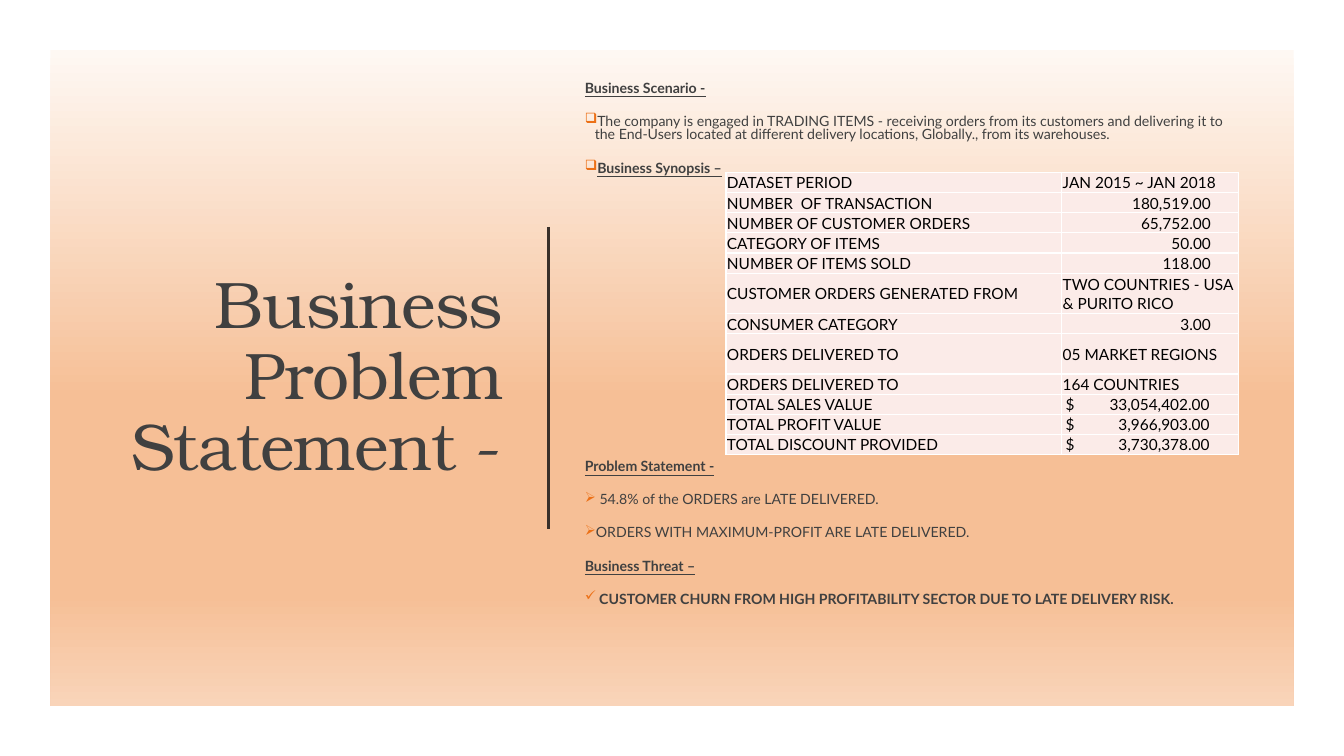
from lxml import etree
from pptx import Presentation
from pptx import util as u
from pptx.dml.color import RGBColor
from pptx.enum import shapes, text
from pptx.oxml.ns import qn

COLORS = {
    "white": "FFFFFF",
    "text": "404040",
    "rule": "39302A",
    "bullet": "EC7016",
    "cell": "FBEBE8",
    "cell_text": "000000",
}
GRADIENT = [(0, "FEF8F3"), (53, "F6BF96"), (83, "F6BF96"), (100, "F9D4B9")]
BODY_FONT, TITLE_FONT = "Lato", "TeX Gyre Bonum"
BODY_SIZE = 10.1
TABLE_GAP = 201.5  # points kept free for the table

# text, bullet, heading style (bold, underlined), space before
BODY = [
    ("Business Scenario -", None, True, True, 12),
    ("The company is engaged in TRADING ITEMS - receiving orders from its "
     "customers and delivering it to the End-Users located at different "
     "delivery locations, Globally., from its warehouses.", "❑", False, False, 12),
    ("Business Synopsis –", "❑", True, True, 12),
    ("Problem Statement -", None, True, True, TABLE_GAP),
    (" 54.8% of the ORDERS are LATE DELIVERED.", "➢", False, False, 12),
    ("ORDERS WITH MAXIMUM-PROFIT ARE LATE DELIVERED.", "➢", False, False, 12),
    ("Business Threat –", None, True, True, 12),
    (" CUSTOMER CHURN FROM HIGH PROFITABILITY SECTOR DUE TO LATE DELIVERY RISK.",
     "✓", True, False, 12),
]

# label, value, kind of value, row height
SYNOPSIS = [
    ("DATASET PERIOD", "JAN 2015 ~ JAN 2018", "text", 0.2),
    ("NUMBER  OF TRANSACTION", "180,519.00", "number", 0.2),
    ("NUMBER OF CUSTOMER ORDERS", "65,752.00", "number", 0.2),
    ("CATEGORY OF ITEMS", "50.00", "number", 0.2),
    ("NUMBER OF ITEMS SOLD", "118.00", "number", 0.2),
    ("CUSTOMER ORDERS GENERATED FROM", "TWO COUNTRIES - USA & PURITO RICO", "text", 0.4),
    ("CONSUMER CATEGORY", "3.00", "number", 0.2),
    ("ORDERS DELIVERED TO", "05 MARKET REGIONS", "text", 0.4),
    ("ORDERS DELIVERED TO", "164 COUNTRIES", "text", 0.2),
    ("TOTAL SALES VALUE", "$\t33,054,402.00", "money", 0.2),
    ("TOTAL PROFIT VALUE", "$\t3,966,903.00", "money", 0.2),
    ("TOTAL DISCOUNT PROVIDED", "$\t3,730,378.00", "money", 0.2),
]


def rgb(name):
    return RGBColor.from_string(COLORS[name])


def add_xml(parent, tag, **attrs):
    return etree.SubElement(parent, qn(tag), attrs)


def set_font(font, name, size, color, bold=False, underline=False):
    font.name, font.size = name, u.Pt(size)
    font.bold, font.underline = bold, underline
    font.color.rgb = rgb(color)


def fill_gradient(fill, element):
    fill.gradient()
    fill.gradient_angle = 270
    stops = next(element.iter(qn("a:gsLst")))
    for stop in list(stops):
        stops.remove(stop)
    for percent, color in GRADIENT:
        stop = add_xml(stops, "a:gs", pos=str(percent * 1000))
        add_xml(stop, "a:srgbClr", val=color)


def add_panel(s, left, top, width, height):
    sp = s.shapes.add_shape(shapes.MSO_SHAPE.RECTANGLE, u.Inches(left),
                            u.Inches(top), u.Inches(width), u.Inches(height))
    sp.shadow.inherit = False
    sp.line.fill.background()
    return sp


def add_textbox(s, left, top, width, height):
    tf = s.shapes.add_textbox(u.Inches(left), u.Inches(top),
                              u.Inches(width), u.Inches(height)).text_frame
    tf.word_wrap = True
    tf.vertical_anchor = text.MSO_ANCHOR.MIDDLE
    return tf


def add_title(s):
    p = add_textbox(s, 0.94, 1.05, 4.14, 5.4).paragraphs[0]
    p.alignment = text.PP_ALIGN.RIGHT
    p.line_spacing = 0.9
    r = p.add_run()
    r.text = "Business Problem Statement -"
    set_font(r.font, TITLE_FONT, 47, "text")
    r.font._element.set("spc", "-50")


def add_rule(s):
    line = s.shapes.add_connector(shapes.MSO_CONNECTOR.STRAIGHT, u.Inches(5.44),
                                  u.Inches(2.25), u.Inches(5.44), u.Inches(5.25))
    line.line.color.rgb = rgb("rule")
    line.line.width = u.Pt(1.5)
    add_xml(line.element.spPr, "a:effectLst")


def add_bullet(p, char):
    pPr = p._p.get_or_add_pPr()
    pPr.set("marL", str(u.Inches(0.1)))
    pPr.set("indent", str(-u.Inches(0.1)))
    add_xml(add_xml(pPr, "a:buClr"), "a:srgbClr", val=COLORS["bullet"])
    add_xml(pPr, "a:buChar", char=char)


def add_body(s):
    tf = add_textbox(s, 5.8, 1.05, 6.53, 5.4)
    tf.margin_left = tf.margin_right = 0
    tf.margin_bottom = u.Inches(0.71)
    for i, (words, bullet, bold, underline, before) in enumerate(BODY):
        p = tf.add_paragraph() if i else tf.paragraphs[0]
        p.line_spacing = 0.8
        p.space_before, p.space_after = u.Pt(before), u.Pt(2)
        if bullet:
            add_bullet(p, bullet)
        p.text = words
        set_font(p.font, BODY_FONT, BODY_SIZE, "text", bold, underline)


def add_borders(cell):
    tcPr = cell._tc.get_or_add_tcPr()
    for side in ("a:lnL", "a:lnR", "a:lnT", "a:lnB"):
        ln = add_xml(tcPr, side, w=str(u.Pt(1)))
        add_xml(add_xml(ln, "a:solidFill"), "a:srgbClr", val=COLORS["white"])


def fill_cell(cell, words, kind):
    cell.margin_left = cell.margin_right = cell.margin_top = u.Inches(0.01)
    cell.margin_bottom = 0
    cell.vertical_anchor = text.MSO_ANCHOR.MIDDLE
    add_borders(cell)
    cell.fill.solid()
    cell.fill.fore_color.rgb = rgb("cell")
    p = cell.text_frame.paragraphs[0]
    if kind == "number":
        p.alignment = text.PP_ALIGN.RIGHT
        cell.margin_right = u.Inches(0.27)
    elif kind == "money":
        cell.margin_left = u.Inches(0.04)
        tabs = add_xml(p._p.get_or_add_pPr(), "a:tabLst")
        add_xml(tabs, "a:tab", pos=str(u.Inches(1.43)), algn="r")
    p.text = words
    set_font(p.font, BODY_FONT, 11, "cell_text")


def add_synopsis(s):
    table = s.shapes.add_table(len(SYNOPSIS), 2, u.Inches(7.2), u.Inches(1.71),
                               u.Inches(5.08), u.Inches(2.8)).table
    table.first_row = table.horz_banding = False
    for column, width in zip(table.columns, (3.33, 1.75)):
        column.width = u.Inches(width)
    for i, (label, value, kind, height) in enumerate(SYNOPSIS):
        table.rows[i].height = u.Inches(height)
        fill_cell(table.cell(i, 0), label, "text")
        fill_cell(table.cell(i, 1), value, kind)


def main():
    prs = Presentation()
    prs.slide_width, prs.slide_height = u.Inches(13.33), u.Inches(7.5)
    s = prs.slides.add_slide(prs.slide_layouts[6])

    # Background, white frame and gradient panel
    fill_gradient(s.background.fill, s.element)
    frame = add_panel(s, 0, 0, 13.33, 7.5)
    frame.fill.solid()
    frame.fill.fore_color.rgb = rgb("white")
    panel = add_panel(s, 0.5, 0.5, 12.33, 6.5)
    fill_gradient(panel.fill, panel.element)

    # Title on the left, story and figures on the right
    add_title(s)
    add_rule(s)
    add_body(s)
    add_synopsis(s)
    prs.save("out.pptx")


if __name__ == "__main__":
    main()
